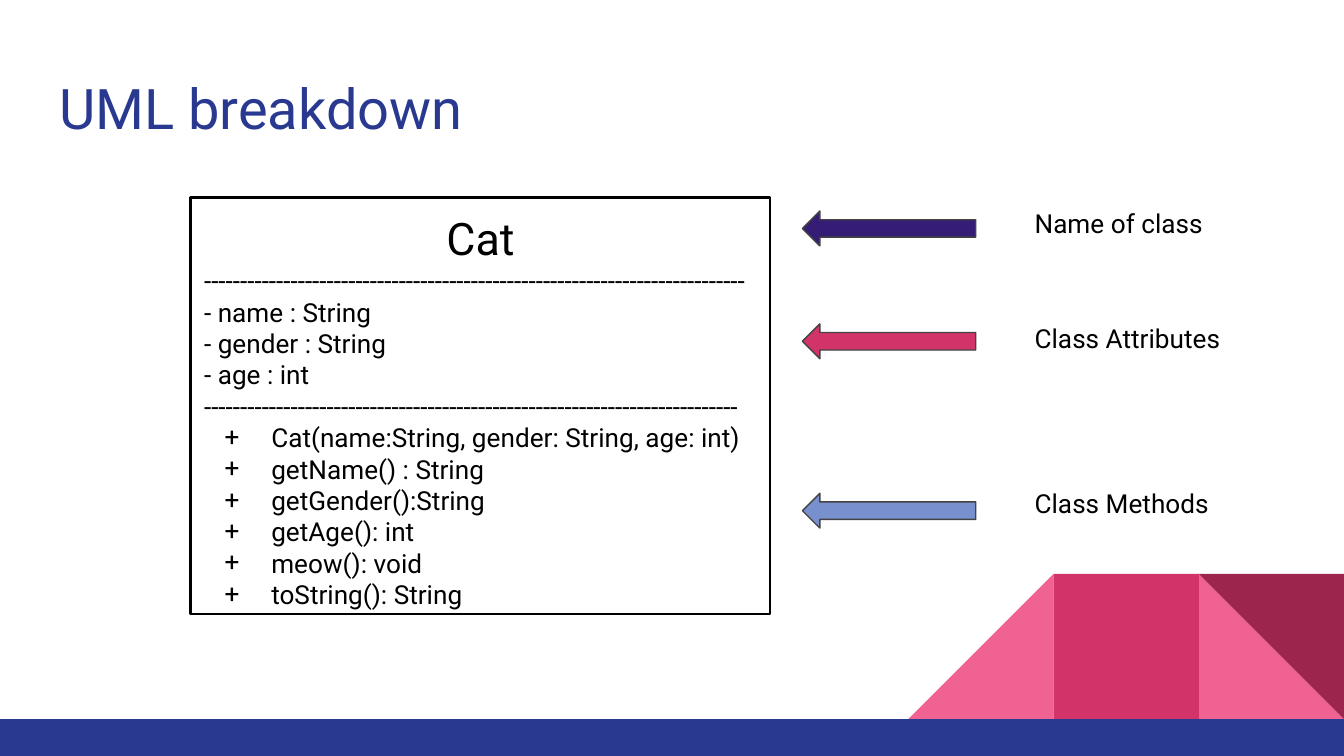
"""Build the UML breakdown slide: a class box with labelled arrows."""

from dataclasses import dataclass

from lxml.etree import SubElement
from pptx import Presentation
from pptx.dml.color import RGBColor
from pptx.enum.shapes import MSO_SHAPE
from pptx.enum.text import MSO_ANCHOR, MSO_AUTO_SIZE, PP_ALIGN
from pptx.oxml.ns import qn
from pptx.util import Pt


@dataclass(frozen=True)
class Theme:
    font: str = "Roboto"
    title_size: float = 30
    class_size: float = 24
    body_size: float = 14
    ink: str = "000000"
    outline: str = "434343"
    navy: str = "2A3990"
    violet: str = "351C75"
    sky: str = "7890CD"
    pink: str = "F06292"
    rose: str = "D23369"
    wine: str = "9C254D"


@dataclass(frozen=True)
class Frame:
    left: float
    top: float
    width: float
    height: float

    def points(self) -> tuple:
        return Pt(self.left), Pt(self.top), Pt(self.width), Pt(self.height)


@dataclass(frozen=True)
class Tile:
    column: int
    kind: MSO_SHAPE
    color: str
    rotation: float = 0
    flipped: bool = False


@dataclass(frozen=True)
class Callout:
    label: str
    color: str
    arrow_top: float
    label_top: float


THEME = Theme()
SLIDE_WIDTH, SLIDE_HEIGHT = 720, 405
INSET = 7.2
TILE_SIZE = 77.76
FOOTER_TOP = 385.2

TILES = (
    Tile(1, MSO_SHAPE.RIGHT_TRIANGLE, THEME.pink),
    Tile(3, MSO_SHAPE.RIGHT_TRIANGLE, THEME.pink, flipped=True),
    Tile(2, MSO_SHAPE.RECTANGLE, THEME.rose),
    Tile(1, MSO_SHAPE.RIGHT_TRIANGLE, THEME.wine, rotation=180),
)
CALLOUTS = (
    Callout("Name of class", THEME.violet, 113.04, 103.68),
    Callout("Class Attributes", THEME.rose, 173.52, 165.6),
    Callout("Class Methods", THEME.sky, 264.24, 254.16),
)
ATTRIBUTES = ("- name : String", "- gender : String", "- age : int")
METHODS = (
    "Cat(name:String, gender: String, age: int)",
    "getName() : String",
    "getGender():String",
    "getAge(): int",
    "meow(): void",
    "toString(): String",
)


def add_block(page, kind: MSO_SHAPE, frame: Frame, fill: str | None = None,
              line: str | None = None, line_width: float = 0.75):
    """Add a preset shape without shadow."""
    block = page.shapes.add_shape(kind, *frame.points())
    block.shadow.inherit = False
    if fill:
        block.fill.solid()
        block.fill.fore_color.rgb = RGBColor.from_string(fill)
    else:
        block.fill.background()
    if line:
        block.line.color.rgb = RGBColor.from_string(line)
        block.line.width = Pt(line_width)
    else:
        block.line.fill.background()
    return block


def write(box, lines: list[str], size: float, color: str) -> list:
    """Fill a text frame with left-aligned lines and return its paragraphs."""
    frame = box.text_frame
    frame.text = "\n".join(lines)
    frame.word_wrap = True
    frame.auto_size = MSO_AUTO_SIZE.NONE
    frame.vertical_anchor = MSO_ANCHOR.TOP
    frame.margin_left = frame.margin_right = Pt(INSET)
    frame.margin_top = frame.margin_bottom = Pt(INSET)
    for para in frame.paragraphs:
        para.alignment = PP_ALIGN.LEFT
        para.space_before = Pt(0)
        for span in para.runs:
            span.font.name = THEME.font
            span.font.size = Pt(size)
            span.font.color.rgb = RGBColor.from_string(color)
    return list(frame.paragraphs)


def add_bullet(para, mark: str) -> None:
    """Give a paragraph a hanging bullet."""
    properties = para._p.get_or_add_pPr()
    properties.set("marL", str(Pt(36)))
    properties.set("indent", str(-Pt(25)))
    color = SubElement(properties, qn("a:buClr"))
    SubElement(color, qn("a:srgbClr"), val=THEME.ink)
    SubElement(properties, qn("a:buFont"), typeface=THEME.font)
    SubElement(properties, qn("a:buChar"), char=mark)


def draw_tile(page, tile: Tile) -> None:
    """Draw one corner tile, with columns counted from the right edge."""
    frame = Frame(SLIDE_WIDTH - tile.column * TILE_SIZE, FOOTER_TOP - TILE_SIZE,
                  TILE_SIZE, TILE_SIZE)
    block = add_block(page, tile.kind, frame, tile.color)
    block.rotation = tile.rotation
    if tile.flipped:
        block._element.spPr.get_or_add_xfrm().set("flipH", "1")


def draw_class_box(page) -> None:
    """Draw the class with its name, attributes and methods."""
    box = add_block(page, MSO_SHAPE.RECTANGLE, Frame(102.24, 105.84, 310.32, 223.2),
                    line=THEME.ink, line_width=1.5)
    lines = ["Cat", "-" * 75, *ATTRIBUTES, "-" * 74, *METHODS]
    paragraphs = write(box, lines, THEME.body_size, THEME.ink)
    heading = paragraphs[0]
    heading.alignment = PP_ALIGN.CENTER
    heading.runs[0].font.size = Pt(THEME.class_size)
    for para in paragraphs[-len(METHODS):]:
        add_bullet(para, "+")


def draw_callout(page, callout: Callout) -> None:
    """Draw an arrow towards the class and its label."""
    add_block(page, MSO_SHAPE.LEFT_ARROW, Frame(429.84, callout.arrow_top, 92.88, 18.72),
              callout.color, THEME.outline)
    frame = Frame(547.2, callout.label_top, 134.64, 38.88)
    box = page.shapes.add_textbox(*frame.points())
    write(box, [callout.label], THEME.body_size, THEME.ink)


def draw_title(page, text: str) -> None:
    """Place and format the title placeholder."""
    title = page.shapes.title
    title.left, title.top, title.width, title.height = Frame(24.48, 32.4, 671.04, 47.52).points()
    write(title, [text], THEME.title_size, THEME.navy)


def main() -> None:
    """Build and save the deck."""
    deck = Presentation()
    deck.slide_width, deck.slide_height = Pt(SLIDE_WIDTH), Pt(SLIDE_HEIGHT)
    page = deck.slides.add_slide(deck.slide_layouts.get_by_name("Title Only"))
    for tile in TILES:
        draw_tile(page, tile)
    add_block(page, MSO_SHAPE.RECTANGLE,
              Frame(0, FOOTER_TOP, SLIDE_WIDTH, SLIDE_HEIGHT - FOOTER_TOP), THEME.navy)
    draw_title(page, "UML breakdown")
    draw_class_box(page)
    for callout in CALLOUTS:
        draw_callout(page, callout)
    deck.save("out.pptx")


if __name__ == "__main__":
    main()
